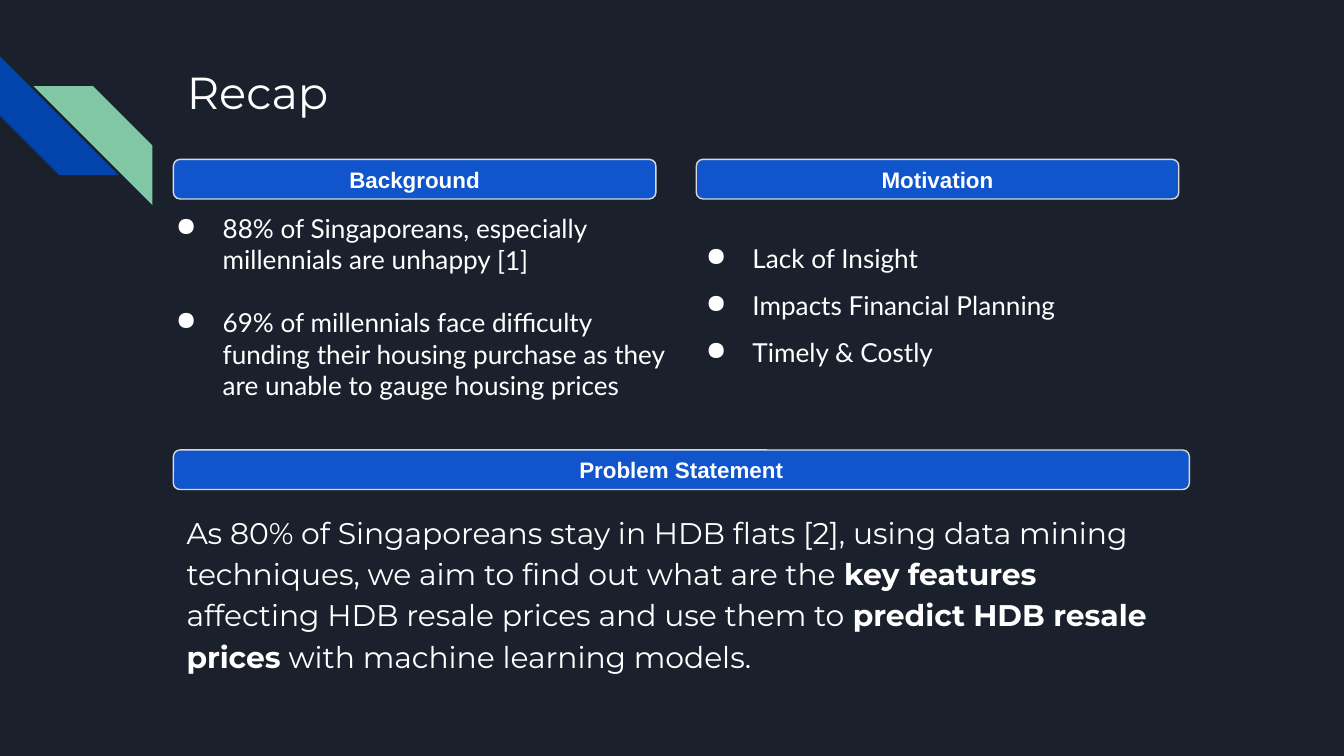
import pptx
import pptx.util
import pptx.dml.color
import pptx.enum.shapes
import pptx.enum.text
import pptx.oxml.ns
from lxml import etree

Pt = pptx.util.Pt
Anchor = pptx.enum.text.MSO_ANCHOR
Align = pptx.enum.text.PP_ALIGN
Kind = pptx.enum.shapes.MSO_SHAPE

COLORS = {
    "back": "1B212C",
    "blue": "0145AC",
    "green": "82C7A5",
    "label": "1155CC",
    "edge": "D9D9D9",
    "text": "FFFFFF",
}
LEFT = 92.9
WIDE = 544.3
HALF = 258.5


def color(name):
    return pptx.dml.color.RGBColor.from_string(COLORS[name])


def set_font(para, face, size, bold=False):
    font = para.font
    font.name, font.size, font.bold = face, Pt(size), bold
    font.color.rgb = color("text")


def set_frame(frame, anchor=Anchor.TOP):
    frame.word_wrap = True
    frame.auto_size = pptx.enum.text.MSO_AUTO_SIZE.NONE
    frame.vertical_anchor = anchor
    frame.margin_left = frame.margin_right = Pt(7.2)
    frame.margin_top = frame.margin_bottom = Pt(7.2)


def add_shape(slide, kind, box, fill):
    shape = slide.shapes.add_shape(kind, *map(Pt, box))
    shape.shadow.inherit = False
    shape.fill.solid()
    shape.fill.fore_color.rgb = color(fill)
    return shape


def add_stripe(slide, left, top, turn, fill):
    stripe = add_shape(slide, Kind.DIAGONAL_STRIPE, (left, top, 63.6, 63.6), fill)
    stripe.rotation = turn
    stripe.line.fill.background()


def add_label(slide, text, left, top, width):
    label = add_shape(slide, Kind.ROUNDED_RECTANGLE, (left, top, width, 21.2), "label")
    label.line.color.rgb = color("edge")
    label.line.width = Pt(0.75)
    set_frame(label.text_frame, Anchor.MIDDLE)
    para = label.text_frame.paragraphs[0]
    para.text = text
    para.alignment = Align.CENTER
    set_font(para, "Arial", 12, True)


def add_box(slide, box):
    frame = slide.shapes.add_textbox(*map(Pt, box)).text_frame
    set_frame(frame)
    return frame


def set_bullet(para):
    props = para._p.get_or_add_pPr()
    props.set("marL", str(Pt(36)))
    props.set("indent", str(-Pt(25)))
    tag = pptx.oxml.ns.qn
    tint = etree.SubElement(props, tag("a:buClr"))
    etree.SubElement(tint, tag("a:srgbClr")).set("val", COLORS["text"])
    etree.SubElement(props, tag("a:buChar")).set("char", "●")


def add_list(slide, items, box, lines=1.0, gap=0):
    frame = add_box(slide, box)
    for place, item in enumerate(items):
        para = frame.add_paragraph() if place else frame.paragraphs[0]
        para.text = item
        para.line_spacing = lines
        para.space_before = Pt(gap if place else 0)
        set_bullet(para)
        set_font(para, "Lato", 14)


def add_title(slide, text):
    title = slide.shapes.title
    title.left, title.top = Pt(LEFT), Pt(27.4)
    title.width, title.height = Pt(554.4), Pt(38.2)
    set_frame(title.text_frame)
    para = title.text_frame.paragraphs[0]
    para.text = text
    para.alignment = Align.LEFT
    set_font(para, "Montserrat", 24)


def add_cite(slide, text, box):
    para = add_box(slide, box).paragraphs[0]
    para.text = text
    set_font(para, "Lato", 14)


def add_goal(slide, parts, box):
    para = add_box(slide, box).paragraphs[0]
    para.line_spacing = 1.15
    para.space_after = Pt(16)
    set_font(para, "Montserrat", 16)
    for text, bold in parts:
        run = para.add_run()
        run.text = text
        run.font.bold = bold


def main():
    deck = pptx.Presentation()
    deck.slide_width, deck.slide_height = Pt(720), Pt(405)
    slide = deck.slides.add_slide(deck.slide_layouts[5])
    slide.background.fill.solid()
    slide.background.fill.fore_color.rgb = color("back")

    add_stripe(slide, 0, 30.2, 270, "blue")
    add_stripe(slide, 18, 46.2, 90, "green")
    add_title(slide, "Recap")

    add_label(slide, "Background", LEFT, 85.4, HALF)
    add_label(slide, "Motivation", 373, 85.4, HALF)
    add_label(slide, "Problem Statement", LEFT, 241.1, WIDE)

    add_list(slide, [
        "88% of Singaporeans, especially millennials are unhappy",
        "69% of millennials face difficulty funding their housing purchase "
        "as they are unable to gauge housing prices",
    ], (76.2, 106.6, 292.3, 83.5), gap=16.8)
    add_cite(slide, "[1]", (259.2, 123.8, 31.7, 29.5))
    add_list(slide, [
        "Lack of Insight",
        "Impacts Financial Planning",
        "Timely & Costly",
    ], (360, 114.5, 229.7, 83.5), lines=1.5)

    add_goal(slide, [
        ("As 80% of Singaporeans stay in HDB flats [2], using data mining "
         "techniques, we aim to find out what are the ", False),
        ("key features", True),
        (" affecting HDB resale prices and use them to ", False),
        ("predict HDB resale prices", True),
        (" with machine learning models.", False),
    ], (LEFT, 265.7, WIDE, 100.8))
    deck.save("out.pptx")


if __name__ == "__main__":
    main()
